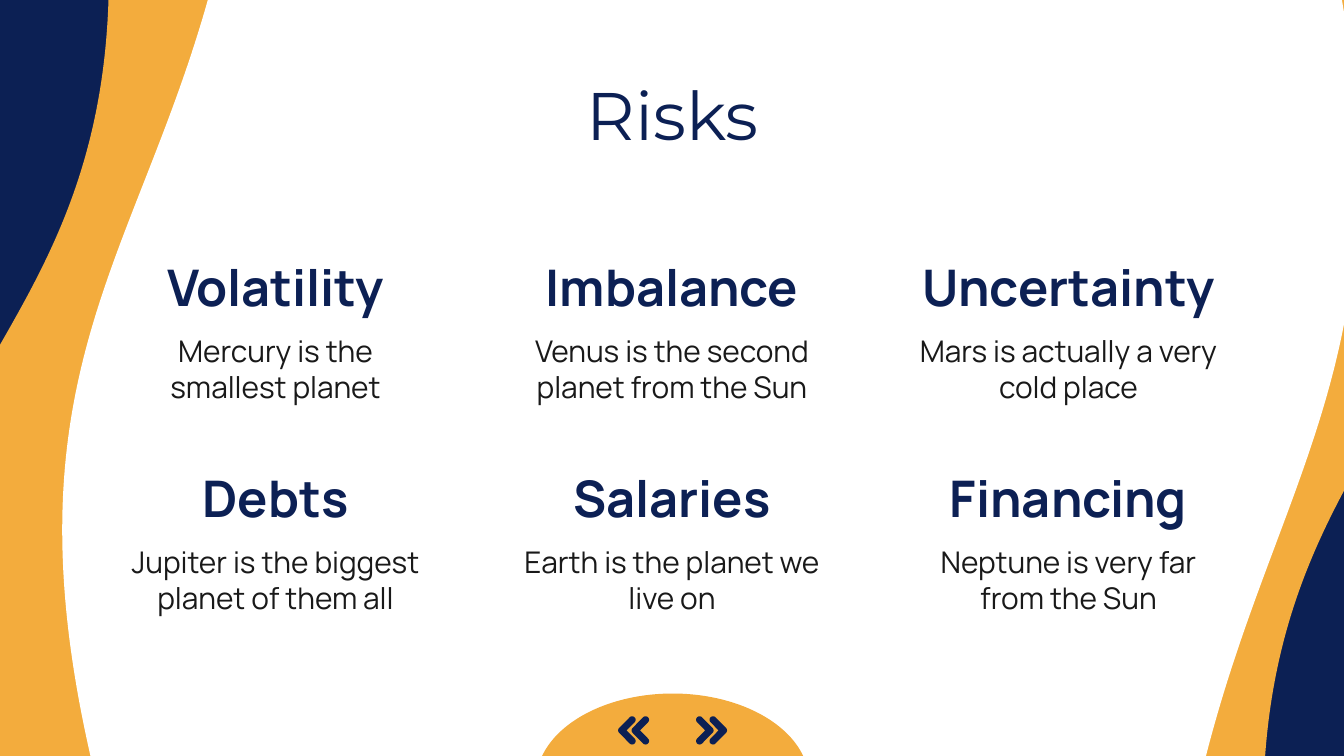
import math

from pptx import Presentation
from pptx import util as u
from pptx.dml.color import RGBColor
from pptx.enum import shapes, text

NAVY, ORANGE, WHITE, INK = "0C2054", "F3AC3D", "FFFFFF", "191919"

WAVES = [
    ((0.03, -0.94, 6.23, 7.73), 90, ORANGE),
    ((3.94, -0.95, 6.25, 7.73), 270, ORANGE),
    ((1.45, -0.38, 9.67, 7.84), 270, WHITE),
    ((-0.32, -2.02, 9.1, 7.73), 90, WHITE),
]

RISKS = [
    ("Volatility", "Mercury is the smallest planet"),
    ("Imbalance", "Venus is the second planet from the Sun"),
    ("Uncertainty", "Mars is actually a very cold place"),
    ("Debts", "Jupiter is the biggest planet of them all"),
    ("Salaries", "Earth is the planet we live on"),
    ("Financing", "Neptune is very far from the Sun"),
]


def color(value):
    """Turn a hex string into a colour."""
    return RGBColor.from_string(value)


def inches(box):
    """Turn a box in inches into lengths."""
    return [u.Inches(v) for v in box]


def paint(sp, fill):
    """Give a shape a flat fill with no line or shadow."""
    sp.shadow.inherit = False
    sp.fill.solid()
    sp.fill.fore_color.rgb = color(fill)
    sp.line.fill.background()


def add_flipped(s, kind, box, rotation, fill):
    """Add a rotated preset shape that is flipped horizontally."""
    sp = s.shapes.add_shape(kind, *inches(box))
    sp.rotation = rotation
    sp._element.spPr.get_or_add_xfrm().set("flipH", "1")
    paint(sp, fill)
    return sp


def add_label(s, box, words, size, font, fill, bold=False):
    """Add a centred text box."""
    tf = s.shapes.add_textbox(*inches(box)).text_frame
    tf.word_wrap = True
    tf.vertical_anchor = text.MSO_ANCHOR.MIDDLE
    tf.margin_left = tf.margin_right = u.Inches(0.1)
    tf.margin_top = tf.margin_bottom = u.Inches(0.1)
    p = tf.paragraphs[0]
    p.alignment = text.PP_ALIGN.CENTER
    r = p.add_run()
    r.text = words
    r.font.size = u.Pt(size)
    r.font.name = font
    r.font.bold = bold
    r.font.color.rgb = color(fill)


def add_risk(s, box, name, description):
    """Add a risk heading with its description below."""
    x, y, w, h = box
    add_label(s, (x, y, w, 0.58), name, 27, "Manrope", NAVY, bold=True)
    add_label(s, (x, y + 0.64, w, h - 0.64), description, 16, "Manrope", INK)


def add_risk_grid(s, box, columns=3, rows=2):
    """Spread the risks evenly over a grid that fills the box."""
    x, y, w, h = box
    cell_w, cell_h = 2.52, 1.17
    step_x = (w - cell_w) / (columns - 1)
    step_y = (h - cell_h) / (rows - 1)
    for i, (name, description) in enumerate(RISKS):
        row, column = divmod(i, columns)
        cell = (x + column * step_x, y + row * step_y, cell_w, cell_h)
        add_risk(s, cell, name, description)


def arc(cx, cy, radius, start, end, steps=12):
    """Return points along an arc, with angles in degrees."""
    angles = [math.radians(start + (end - start) * i / steps)
              for i in range(steps + 1)]
    return [(cx + radius * math.cos(a), cy + radius * math.sin(a))
            for a in angles]


def add_chevron(group, box, direction):
    """Add a round-ended chevron pointing right (1) or left (-1)."""
    x, y, w, h = box
    radius, middle = w / 5, h / 2
    tip = w - radius
    outline = (arc(radius, radius, radius, 135, 315)
               + arc(tip, middle, radius, -45, 45)
               + arc(radius, h - radius, radius, 45, 225)
               + [(tip - radius * math.sqrt(2), middle)])
    points = [(u.Inches(x + w / 2 + direction * (px - w / 2)), u.Inches(y + py))
              for px, py in outline]
    builder = group.shapes.build_freeform(*points[0])
    builder.add_line_segments(points[1:], close=True)
    paint(builder.convert_to_shape(), NAVY)


def add_navigation(s, box):
    """Add the half-ellipse tab with its two double chevrons."""
    x, y, w, h = box
    tab = add_flipped(s, shapes.MSO_SHAPE.PIE, box, 180, ORANGE)
    tab.adjustments[0] = 0
    tab.adjustments[1] = 108.31
    chevron_w = 0.13
    for direction in (1, -1):
        group = s.shapes.add_group_shape()
        for offset in (0.24, 0.34):
            center = x + w / 2 + direction * offset
            add_chevron(group, (center - chevron_w / 2, y + 0.17, chevron_w, 0.21),
                        direction)


def build_risks_slide(prs):
    """Build the risks slide."""
    s = prs.slides.add_slide(prs.slide_layouts[6])
    s.background.fill.solid()
    s.background.fill.fore_color.rgb = color(NAVY)
    for box, rotation, fill in WAVES:
        add_flipped(s, shapes.MSO_SHAPE.FLOWCHART_DOCUMENT, box, rotation, fill)
    add_label(s, (0.79, 0.58, 8.43, 0.53), "Risks", 36, "Montserrat", NAVY)
    add_risk_grid(s, (0.79, 1.84, 8.42, 2.74))
    add_navigation(s, (3.99, 5.16, 2.03, 1.31))


def main():
    """Create and save the presentation."""
    prs = Presentation()
    prs.slide_width = u.Inches(10)
    prs.slide_height = prs.slide_width * 9 // 16
    build_risks_slide(prs)
    prs.save("out.pptx")


if __name__ == "__main__":
    main()
